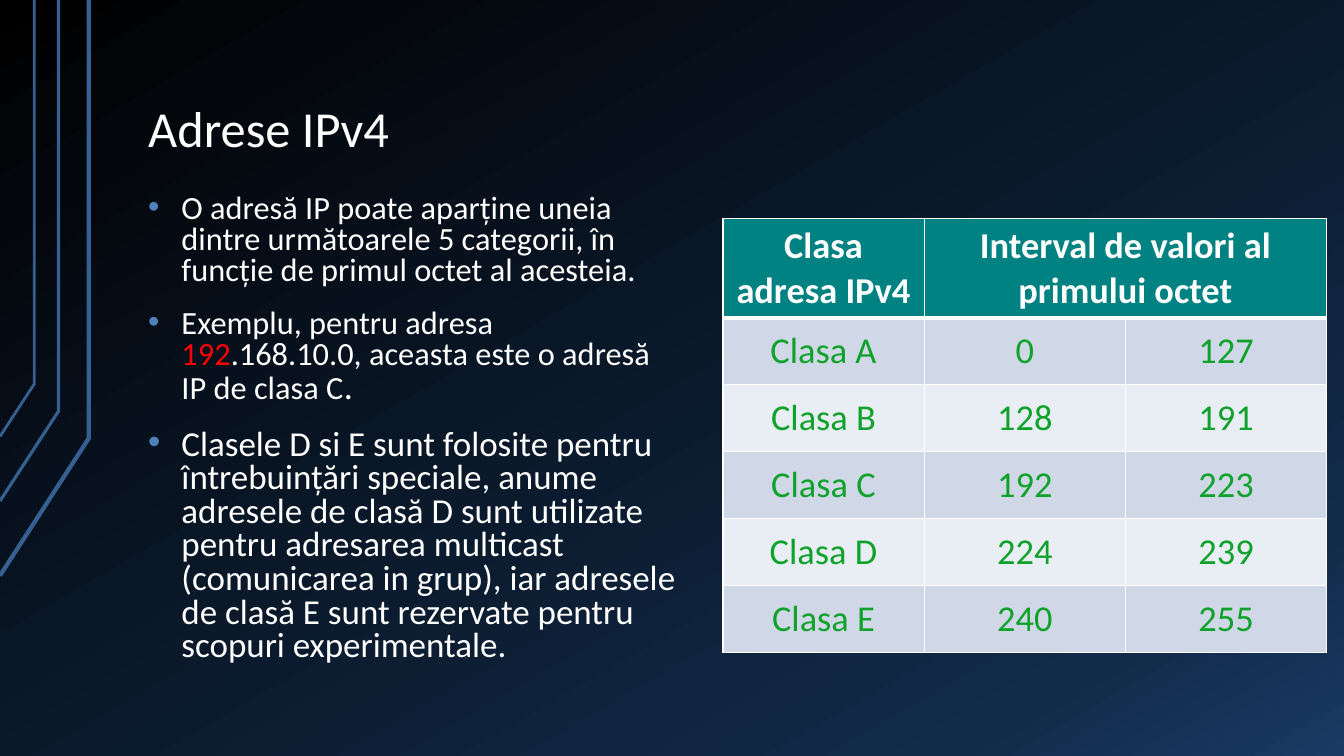
from pptx import Presentation
from pptx.dml.color import RGBColor
from pptx.enum.text import MSO_ANCHOR, MSO_AUTO_SIZE, PP_ALIGN
from pptx.oxml.ns import qn
from pptx.util import Inches, Pt
from lxml.etree import SubElement

COLORS = {
    "white": "FFFFFF", "red": "FF0000", "green": "0EA22A", "teal": "008282",
    "line": "376092", "bullet": "4F81BD", "band_dark": "D0D8E8", "band_light": "E9EDF4",
    "black": "000000", "navy": "122B4A", "blue": "193A64",
}


def add_run(para, text, size, color, bold=False):
    span = para.add_run()
    span.text = text
    span.font.name = "Calibri"
    span.font.size = Pt(size)
    span.font.bold = bold
    span.font.color.rgb = RGBColor.from_string(COLORS[color])


deck = Presentation()
deck.slide_width, deck.slide_height = Inches(13.33), Inches(7.5)
page = deck.slides.add_slide(deck.slide_layouts[1])

# Background gradient
background = page.background.fill
background.gradient()
background.gradient_angle = 300
stop_list = page.element.find(".//" + qn("a:gsLst"))
for stop in list(stop_list):
    stop_list.remove(stop)
for percent, color in [(0, "black"), (85, "navy"), (100, "blue")]:
    stop = SubElement(stop_list, qn("a:gs"), pos=str(percent * 1000))
    SubElement(stop, qn("a:srgbClr"), val=COLORS[color])

# Bent lines on the left edge, in hundredths of an inch: x, bend, end, line width in points
for x, bend, end, width in [(88, 435, 571, 3), (58, 408, 497, 2.25), (34, 381, 433, 2)]:
    builder = page.shapes.build_freeform(0, end, scale=Inches(0.01))
    builder.add_line_segments([(x, bend), (x, 0)], close=False)
    bent_line = builder.convert_to_shape()
    bent_line.shadow.inherit = False
    bent_line.fill.background()
    bent_line.line.color.rgb = RGBColor.from_string(COLORS["line"])
    bent_line.line.width = Pt(width)

# Title and body placeholders
title, body = page.shapes.title, page.placeholders[1]
for box, top, width, height, anchor in [
    (title, 0.3, 11.33, 1.34, MSO_ANCHOR.BOTTOM),
    (body, 1.86, 5.55, 4.88, MSO_ANCHOR.TOP),
]:
    box.left, box.top = Inches(1.34), Inches(top)
    box.width, box.height = Inches(width), Inches(height)
    frame = box.text_frame
    frame.word_wrap = True
    frame.auto_size = MSO_AUTO_SIZE.NONE
    frame.vertical_anchor = anchor
    frame.margin_left = frame.margin_right = Inches(0.13)
    frame.margin_top = frame.margin_bottom = Inches(0.07)

para = title.text_frame.paragraphs[0]
para.alignment = PP_ALIGN.LEFT
para.line_spacing = 0.9
add_run(para, "Adrese IPv4", 36, "white")

bullets = [
    [("O adresă IP poate aparține uneia dintre următoarele 5 categorii, "
      "în funcție de primul octet al acesteia.", 23.1, "white")],
    [("Exemplu, pentru adresa ", 23.1, "white"),
     ("192", 23.1, "red"),
     (".168.10.0, aceasta este o adresă IP de clasa C", 23.1, "white"),
     (".", 25.9, "white")],
    [("Clasele D si E sunt folosite pentru întrebuințări speciale, anume adresele "
      "de clasă D sunt utilizate pentru adresarea multicast (comunicarea in grup), "
      "iar adresele de clasă E sunt rezervate pentru scopuri experimentale.", 25, "white")],
]
for index, runs in enumerate(bullets):
    para = body.text_frame.add_paragraph() if index else body.text_frame.paragraphs[0]
    para.alignment = PP_ALIGN.LEFT
    para.line_spacing = 0.8
    para.space_before = Pt(16)
    properties = para._p.get_or_add_pPr()
    properties.set("marL", str(Inches(0.33)))
    properties.set("indent", str(-Inches(0.33)))
    bullet_color = SubElement(properties, qn("a:buClr"))
    SubElement(bullet_color, qn("a:srgbClr"), val=COLORS["bullet"])
    SubElement(properties, qn("a:buFont"), typeface="Arial")
    SubElement(properties, qn("a:buChar"), char="•")
    for text, size, color in runs:
        add_run(para, text, size, color)

# Table of address classes
rows = [
    ("Clasa adresa IPv4", "Interval de valori al primului octet", ""),
    ("Clasa A", "0", "127"),
    ("Clasa B", "128", "191"),
    ("Clasa C", "192", "223"),
    ("Clasa D", "224", "239"),
    ("Clasa E", "240", "255"),
]
table_height, header_height = Inches(4.3), Inches(0.98)
row_height = (table_height - header_height) // (len(rows) - 1)
table = page.shapes.add_table(
    len(rows), 3, Inches(7.17), Inches(2.17), Inches(5.99), table_height
).table
for row_index, values in enumerate(rows):
    header = row_index == 0
    table.rows[row_index].height = header_height if header else row_height
    band = "teal" if header else "band_dark" if row_index % 2 else "band_light"
    for column_index, value in enumerate(values):
        cell = table.cell(row_index, column_index)
        cell.vertical_anchor = MSO_ANCHOR.MIDDLE
        cell.margin_left = cell.margin_right = Inches(0.11)
        cell.margin_top = cell.margin_bottom = Inches(0.05)
        for side in "LRTB":
            thick = (header and side == "B") or (row_index == 1 and side == "T")
            border = SubElement(cell._tc.get_or_add_tcPr(), qn(f"a:ln{side}"),
                                w=str(Pt(3 if thick else 1)))
            border_fill = SubElement(border, qn("a:solidFill"))
            SubElement(border_fill, qn("a:srgbClr"), val=COLORS["white"])
        cell.fill.solid()
        cell.fill.fore_color.rgb = RGBColor.from_string(COLORS[band])
        if value:
            para = cell.text_frame.paragraphs[0]
            para.alignment = PP_ALIGN.CENTER
            add_run(para, value, 26, "white" if header else "green", bold=header)
table.cell(0, 1).merge(table.cell(0, 2))

deck.save("out.pptx")
